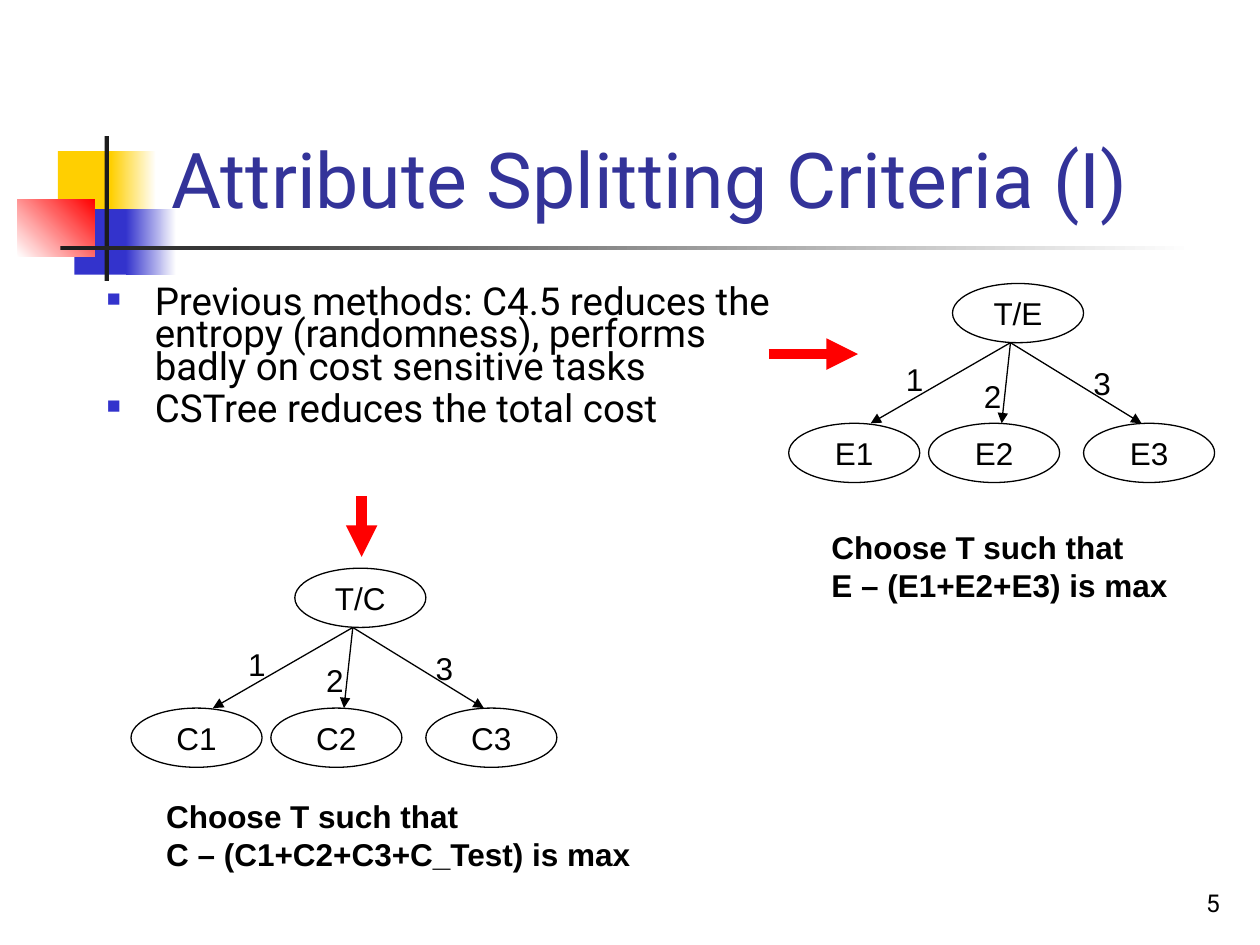
from dataclasses import dataclass
from typing import Any

import pptx
import pptx.dml.color
import pptx.enum.shapes
import pptx.enum.text
import pptx.oxml.ns
import pptx.util
from lxml import etree

# The slide is a grid of 100 columns by 75 rows
CELL = pptx.util.Inches(0.1)
SHAPE = pptx.enum.shapes.MSO_SHAPE
ALIGN = pptx.enum.text.PP_ALIGN
ANCHOR = pptx.enum.text.MSO_ANCHOR
BLACK, WHITE, RED, DARK = "000000", "FFFFFF", "FF0000", "1C1C1C"
YELLOW, BLUE, TITLE_BLUE = "FFCF01", "3333CC", "333399"


@dataclass
class Area:
    col: float
    row: float
    cols: float
    rows: float

    def lengths(self) -> list[int]:
        return [round(n * CELL) for n in (self.col, self.row, self.cols, self.rows)]


@dataclass
class Block:
    area: Area
    colors: tuple[str, ...]  # one colour is solid, two are a gradient
    angle: float = 0


@dataclass
class Style:
    size: float = 18
    font: str = "Arial"
    color: str = BLACK
    bold: bool = False
    align: Any = ALIGN.LEFT
    anchor: Any = ANCHOR.TOP
    wrap: bool = True


@dataclass
class Tree:
    col: float
    row: float
    letter: str


BLOCKS = [
    Block(Area(4.6, 12, 4.8, 5.2), (YELLOW,)),
    Block(Area(8.8, 12, 3.6, 5.2), (YELLOW, WHITE)),
    Block(Area(5.9, 16.6, 4.6, 5.2), (BLUE,)),
    Block(Area(10, 16.6, 4, 5.2), (BLUE, WHITE)),
    Block(Area(1.4, 15.8, 6.1, 4.6), (WHITE, RED), 45),
    Block(Area(8.3, 10.8, 0.35, 11.5), (DARK,)),
    Block(Area(4.8, 19.5, 90, 0.35), (DARK, WHITE)),
]
TREES = [Tree(62.6, 22.5, "E"), Tree(10.4, 45.1, "C")]

# Tree parts, in cells from the tree's top left corner
NODE_COLS, NODE_ROWS = 10.4, 4.7
ROOT_COL, LEAF_ROW = 13, 11.1
LEAF_COLS = (0, 11.1, 23.4)
EDGE_START = 17.6
EDGE_ENDS = (6.5, 16.9, 28)
LABEL_SPOTS = ((8.3, 5.6), (14.5, 6.9), (23.2, 5.9))
NODE_STYLE = Style(align=ALIGN.CENTER, anchor=ANCHOR.MIDDLE, wrap=False)


def rgb(color: str) -> pptx.dml.color.RGBColor:
    return pptx.dml.color.RGBColor.from_string(color)


def write(shape: Any, lines: list[str], style: Style) -> None:
    frame = shape.text_frame
    frame.word_wrap = style.wrap
    frame.vertical_anchor = style.anchor
    for index, line in enumerate(lines):
        para = frame.add_paragraph() if index else frame.paragraphs[0]
        para.text = line
        para.alignment = style.align
        para.font.size = pptx.util.Pt(style.size)
        para.font.name = style.font
        para.font.bold = style.bold
        para.font.color.rgb = rgb(style.color)


def add_text(shapes: Any, area: Area, text: str, style: Style) -> None:
    write(shapes.add_textbox(*area.lengths()), [text], style)


def add_block(shapes: Any, block: Block) -> None:
    box = shapes.add_shape(SHAPE.RECTANGLE, *block.area.lengths())
    box.shadow.inherit = False
    box.line.fill.background()
    if len(block.colors) == 1:
        box.fill.solid()
        box.fill.fore_color.rgb = rgb(block.colors[0])
        return
    box.fill.gradient()
    box.fill.gradient_angle = block.angle
    for position, (stop, color) in enumerate(zip(box.fill.gradient_stops, block.colors)):
        stop.position = position
        stop.color.rgb = rgb(color)


def add_node(shapes: Any, col: float, row: float, text: str) -> None:
    node = shapes.add_shape(SHAPE.OVAL, *Area(col, row, NODE_COLS, NODE_ROWS).lengths())
    node.shadow.inherit = False
    node.fill.background()
    node.line.color.rgb = rgb(BLACK)
    node.line.width = pptx.util.Pt(0.75)
    write(node, [text], NODE_STYLE)


def add_arrow(shapes: Any, start: tuple[float, float], end: tuple[float, float],
              color: str = BLACK, width: float = 0.75) -> None:
    ends = [round(n * CELL) for n in (*start, *end)]
    arrow = shapes.add_connector(pptx.enum.shapes.MSO_CONNECTOR.STRAIGHT, *ends)
    arrow.line.color.rgb = rgb(color)
    arrow.line.width = pptx.util.Pt(width)
    qn = pptx.oxml.ns.qn
    etree.SubElement(arrow.line._get_or_add_ln(), qn("a:tailEnd"), type="triangle")
    etree.SubElement(arrow._element.spPr, qn("a:effectLst"))


def add_tree(page: Any, tree: Tree) -> None:
    add_node(page.shapes, tree.col + ROOT_COL, tree.row, f"T/{tree.letter}")
    branches = page.shapes.add_group_shape().shapes
    for number, col in enumerate(LEAF_COLS, 1):
        add_node(branches, tree.col + col, tree.row + LEAF_ROW, f"{tree.letter}{number}")
    for col in EDGE_ENDS:
        add_arrow(branches, (tree.col + EDGE_START, tree.row + NODE_ROWS),
                  (tree.col + col, tree.row + LEAF_ROW))
    for number, (col, row) in enumerate(LABEL_SPOTS, 1):
        add_text(branches, Area(tree.col + col, tree.row + row, 2.8, 4), str(number), Style())


def add_bullets(page: Any, area: Area, lines: list[str], style: Style) -> None:
    box = page.shapes.add_textbox(*area.lengths())
    frame = box.text_frame
    qn = pptx.oxml.ns.qn
    for index in range(len(lines)):
        para = frame.add_paragraph() if index else frame.paragraphs[0]
        para.line_spacing = 0.7
        if index:
            para.space_before = pptx.util.Pt(5.5)
        props = para._p.get_or_add_pPr()
        indent = pptx.util.Inches(0.38)
        props.set("marL", str(indent))
        props.set("indent", str(-indent))
        color = etree.SubElement(props, qn("a:buClr"))
        etree.SubElement(color, qn("a:srgbClr"), val=BLUE)
        etree.SubElement(props, qn("a:buSzPct"), val="60000")
        etree.SubElement(props, qn("a:buFont"), typeface="Arial")
        etree.SubElement(props, qn("a:buChar"), char="■")
    for para, line in zip(frame.paragraphs, lines):
        para.text = line
        para.font.size = pptx.util.Pt(style.size)
        para.font.name = style.font
        para.font.color.rgb = rgb(style.color)
    frame.word_wrap = True


def main() -> None:
    deck = pptx.Presentation()
    deck.slide_width, deck.slide_height = 100 * CELL, 75 * CELL
    page = deck.slides.add_slide(deck.slide_layouts[6])

    # Corner decoration and rule
    for block in BLOCKS:
        add_block(page.shapes, block)

    # Page number, title and main points
    add_text(page.shapes, Area(77, 68.3, 20.8, 5), "5",
             Style(14, "Roboto", align=ALIGN.RIGHT, anchor=ANCHOR.BOTTOM))
    add_text(page.shapes, Area(12.6, 2.3, 85.2, 16), "Attribute Splitting Criteria (I)",
             Style(44, "Roboto", TITLE_BLUE, anchor=ANCHOR.BOTTOM))
    add_bullets(page, Area(7.5, 22.5, 55.9, 15.7), [
        "Previous methods: C4.5 reduces the entropy (randomness), "
        "performs badly on cost sensitive tasks",
        "CSTree reduces the total cost",
    ], Style(22, "Roboto"))

    # Trees with their selection rules
    for tree in TREES:
        add_tree(page, tree)
    rule = Style(bold=True)
    add_text(page.shapes, Area(65, 41.4, 33.1, 7),
             "Choose T such that\vE – (E1+E2+E3) is max", rule)
    add_text(page.shapes, Area(12.2, 62.8, 44.9, 7),
             "Choose T such that\vC – (C1+C2+C3+C_Test) is max", rule)

    # Red arrows from the points to the trees
    add_arrow(page.shapes, (61, 28.1), (68.1, 28.1), RED, 6)
    add_arrow(page.shapes, (28.7, 39.4), (28.7, 44.2), RED, 6)
    deck.save("out.pptx")


if __name__ == "__main__":
    main()
